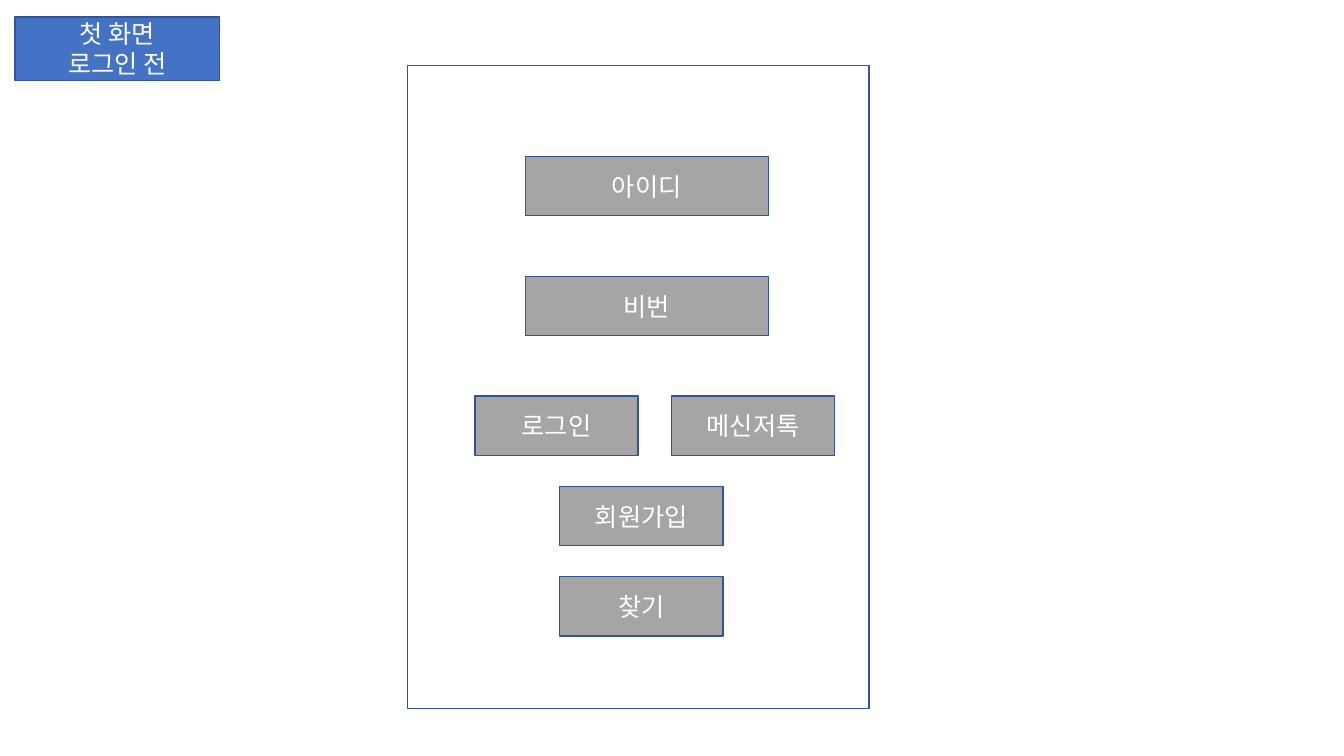
from dataclasses import dataclass

from lxml.etree import SubElement
from pptx import Presentation
from pptx.dml.color import RGBColor
from pptx.enum.shapes import MSO_SHAPE as SHAPE
from pptx.enum.text import MSO_ANCHOR as ANCHOR, PP_ALIGN as ALIGN
from pptx.oxml.ns import qn
from pptx.slide import Slide
from pptx.util import Inches, Pt

WHITE = RGBColor(0xFF, 0xFF, 0xFF)
GRAY = RGBColor(0xA5, 0xA5, 0xA5)
BLUE = RGBColor(0x44, 0x72, 0xC4)
NAVY = RGBColor(0x32, 0x54, 0x91)
FONT = "Noto Sans CJK KR"
FONT_FORMAT = {"name": FONT, "size": Pt(18)}

FIELD_LEFT, FIELD_W = 5.21, 2.41
BUTTON_W, CONTROL_H = 1.62, 0.59
LOGIN_LEFT, MESSENGER_LEFT, LINK_LEFT = 4.71, 6.66, 5.55
FIELD_TOP, FIELD_STEP = 1.55, 1.19
BUTTON_TOP = FIELD_TOP + 2 * FIELD_STEP
BUTTON_STEP = 0.895


@dataclass
class Box:
    """A rectangle of the wireframe, in inches."""
    left: float
    top: float
    width: float
    height: float
    fill: RGBColor = GRAY
    lines: tuple[str, ...] = ()


def field(row: int, label: str) -> Box:
    """Return an input field in the given row."""
    return Box(FIELD_LEFT, FIELD_TOP + row * FIELD_STEP, FIELD_W, CONTROL_H, lines=(label,))


def button(left: float, row: int, label: str) -> Box:
    """Return a button in the given button row."""
    return Box(left, BUTTON_TOP + row * BUTTON_STEP, BUTTON_W, CONTROL_H, lines=(label,))


def draw_box(s: Slide, box: Box) -> None:
    """Draw a rectangle with its centred label lines."""
    sp = s.shapes.add_shape(SHAPE.RECTANGLE, Inches(box.left), Inches(box.top),
                            Inches(box.width), Inches(box.height))
    sp.shadow.inherit = False
    sp.fill.solid()
    sp.fill.fore_color.rgb = box.fill
    sp.line.color.rgb = NAVY
    sp.line.width = Pt(1)
    tf = sp.text_frame
    tf.word_wrap = True
    tf.vertical_anchor = ANCHOR.MIDDLE
    for i, line in enumerate(box.lines):
        p = tf.add_paragraph() if i else tf.paragraphs[0]
        p.alignment = ALIGN.CENTER
        if len(box.lines) > 1:
            p.line_spacing = Pt(21.5)
        r = p.add_run()
        r.text = line
        for name, value in FONT_FORMAT.items():
            setattr(r.font, name, value)
        r.font.color.rgb = WHITE
        SubElement(r.font._element, qn("a:ea"), typeface=FONT)


BOXES = [
    Box(4.04, 0.65, 4.58, 6.38, WHITE),
    field(0, "아이디"),
    field(1, "비번"),
    button(LOGIN_LEFT, 0, "로그인"),
    button(MESSENGER_LEFT, 0, "메신저톡"),
    button(LINK_LEFT, 2, "찾기"),
    button(LINK_LEFT, 1, "회원가입"),
    Box(0.15, 0.17, 2.03, 0.63, BLUE, ("첫 화면", "로그인 전")),
]

prs = Presentation()
prs.slide_width, prs.slide_height = Inches(13.33), Inches(7.5)
s = prs.slides.add_slide(prs.slide_layouts[6])
for box in BOXES:
    draw_box(s, box)
prs.save("out.pptx")
